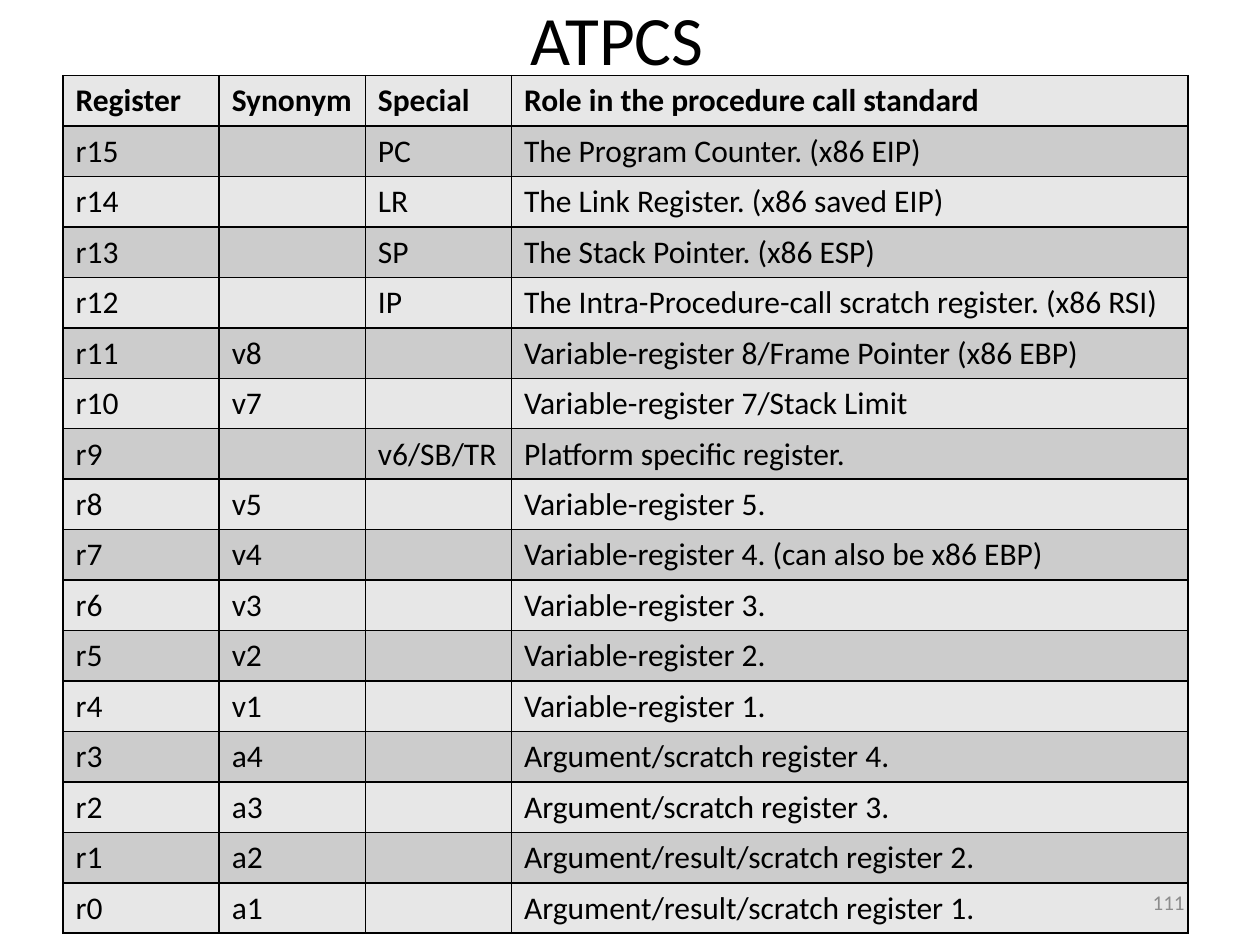
from lxml import etree
from pptx import Presentation
from pptx.dml.color import RGBColor
from pptx.enum.text import MSO_ANCHOR, PP_ALIGN
from pptx.oxml.ns import qn
from pptx.util import Inches, Pt

LEFT, MID, RIGHT = PP_ALIGN.LEFT, PP_ALIGN.CENTER, PP_ALIGN.RIGHT
CENTRE = MSO_ANCHOR.MIDDLE
WIDE, HIGH = 10, 7.5
FONT = "Calibri"
BLACK, GREY = "000000", "8C8C8C"
BANDS = ("E7E7E7", "CCCCCC")
COLS = (1.24, 1.16, 1.16, 5.37)
ROW = 0.4
ROWS = (
    ("Register", "Synonym", "Special", "Role in the procedure call standard"),
    ("r15", "", "PC", "The Program Counter. (x86 EIP)"),
    ("r14", "", "LR", "The Link Register. (x86 saved EIP)"),
    ("r13", "", "SP", "The Stack Pointer. (x86 ESP)"),
    ("r12", "", "IP", "The Intra-Procedure-call scratch register. (x86 RSI)"),
    ("r11", "v8", "", "Variable-register 8/Frame Pointer (x86 EBP)"),
    ("r10", "v7", "", "Variable-register 7/Stack Limit"),
    ("r9", "", "v6/SB/TR", "Platform specific register."),
    ("r8", "v5", "", "Variable-register 5."),
    ("r7", "v4", "", "Variable-register 4. (can also be x86 EBP)"),
    ("r6", "v3", "", "Variable-register 3."),
    ("r5", "v2", "", "Variable-register 2."),
    ("r4", "v1", "", "Variable-register 1."),
    ("r3", "a4", "", "Argument/scratch register 4."),
    ("r2", "a3", "", "Argument/scratch register 3."),
    ("r1", "a2", "", "Argument/result/scratch register 2."),
    ("r0", "a1", "", "Argument/result/scratch register 1."),
)


def paint(target, color):
    target.rgb = RGBColor.from_string(color)


def write(frame, text, size=18, color=BLACK, bold=False, align=LEFT):
    para = frame.paragraphs[0]
    para.alignment = align
    run = para.add_run()
    run.text = text
    run.font.name = FONT
    run.font.size = Pt(size)
    run.font.bold = bold
    paint(run.font.color, color)


def label(slide, text, x, y, w, h, **style):
    box = slide.shapes.add_textbox(
        Inches(x * WIDE), Inches(y * HIGH), Inches(w * WIDE), Inches(h * HIGH)
    )
    frame = box.text_frame
    frame.word_wrap = True
    frame.vertical_anchor = CENTRE
    write(frame, text, **style)


def frame_cell(cell):
    props = cell._tc.get_or_add_tcPr()
    for side in ("lnL", "lnR", "lnT", "lnB"):
        line = etree.SubElement(props, qn(f"a:{side}"), w=str(Pt(1)))
        fill = etree.SubElement(line, qn("a:solidFill"))
        etree.SubElement(fill, qn("a:srgbClr"), val=BLACK)


def add_grid(slide, x, y):
    table = slide.shapes.add_table(
        len(ROWS), len(COLS), Inches(x * WIDE), Inches(y * HIGH),
        Inches(sum(COLS)), Inches(ROW * len(ROWS))
    ).table
    for col, width in zip(table.columns, COLS):
        col.width = Inches(width)
    for i, (row, words) in enumerate(zip(table.rows, ROWS)):
        row.height = Inches(ROW)
        for cell, text in zip(row.cells, words):
            frame_cell(cell)
            cell.fill.solid()
            paint(cell.fill.fore_color, BANDS[i % 2])
            if text:
                write(cell.text_frame, text, bold=i == 0)


def main():
    deck = Presentation()
    deck.slide_width, deck.slide_height = Inches(WIDE), Inches(HIGH)
    slide = deck.slides.add_slide(deck.slide_layouts[6])
    label(slide, "ATPCS", 0.04, 0, 0.9, 0.08, size=39.6, align=MID)
    add_grid(slide, 0.05, 0.08)
    label(slide, "111", 0.72, 0.93, 0.23, 0.05, size=12, color=GREY, align=RIGHT)
    deck.save("out.pptx")


if __name__ == "__main__":
    main()
